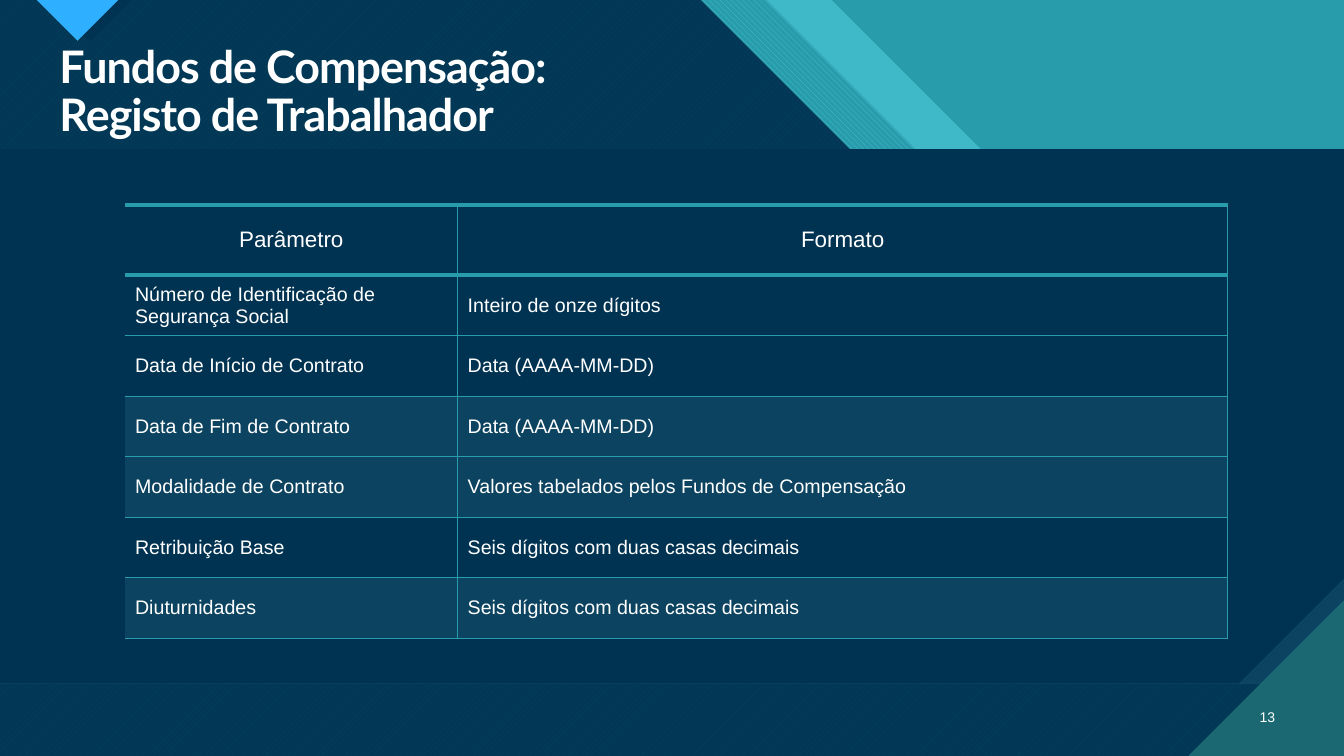
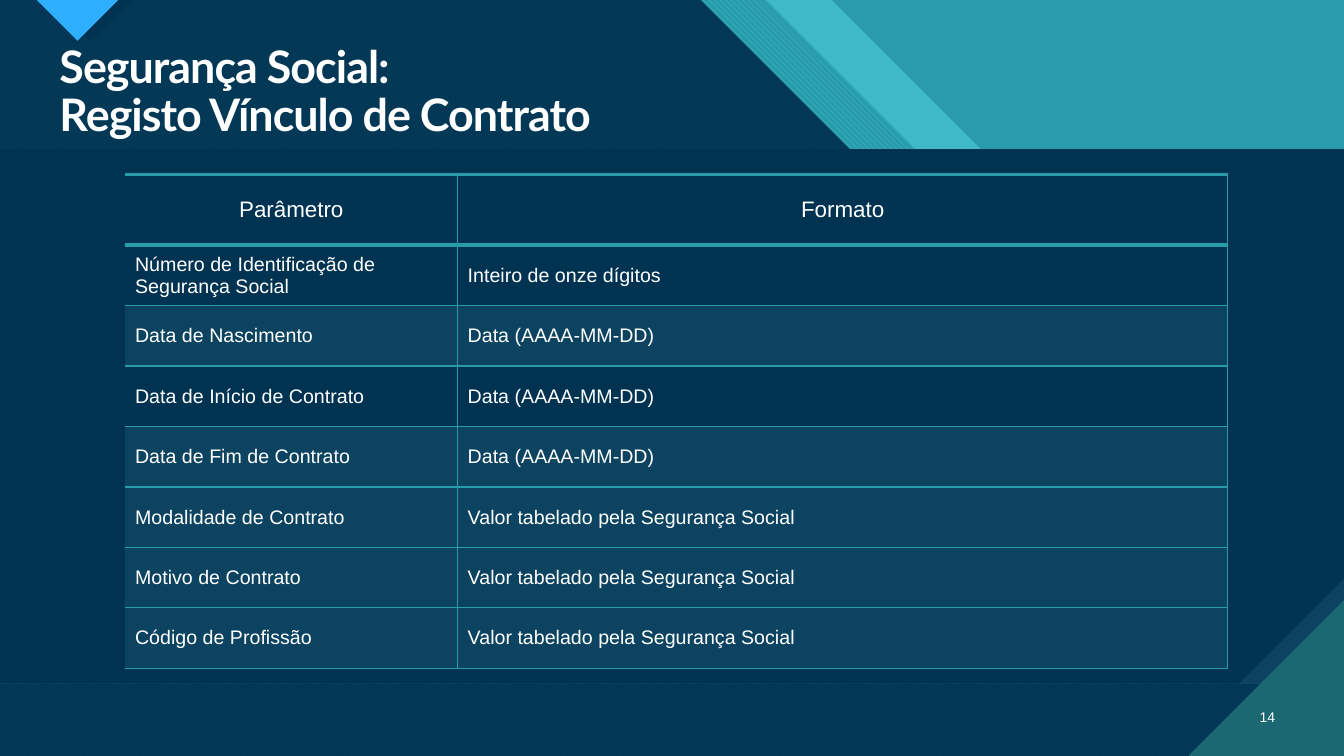
from lxml import etree
from pptx import Presentation
from pptx import util as u
from pptx.dml.color import RGBColor
from pptx.enum import dml, shapes, text
from pptx.oxml.ns import qn

Pt = u.Pt
PAT = dml.MSO_PATTERN
W, H = 960, 540
PANEL_TOP, PANEL_H = 106.6, 381.6
COLORS = {
    "navy": "003352",
    "slate": "0C4360",
    "teal": "299CAB",
    "aqua": "47C3D3",
    "pine": "1B6872",
    "blue": "2FAFFF",
    "white": "FFFFFF",
}
TITLE_FONT = {"name": "Lato", "size": Pt(32), "bold": True}
HEAD_FONT = {"name": "Arial", "size": Pt(16), "bold": False}
BODY_FONT = {"name": "Arial", "size": Pt(14), "bold": False}
NUMBER_FONT = {"name": "Arial", "size": Pt(10)}
NO_TABLE_STYLE = "{2D5ABB26-0587-4C30-8999-92F81FD0307C}"

TABLE_X = 89.3
COL_WIDTHS = (237.6, 550.1)
HEAD_H, ROW_H = 50.4, 43.2
HEADER = ("Parâmetro", "Formato", False)
DATE = "Data (AAAA-MM-DD)"
AMOUNT = "Seis dígitos com duas casas decimais"
CODE = "Valor tabelado pela Segurança Social"
SOCIAL_ID = ("Número de Identificação de Segurança Social",
             "Inteiro de onze dígitos", False)

# Each row: parameter, format, shaded
SLIDES = [
    {"title": "Fundos de Compensação:\vRegisto de Trabalhador",
     "number": 13, "top": 146.2,
     "rows": [
         SOCIAL_ID,
         ("Data de Início de Contrato", DATE, False),
         ("Data de Fim de Contrato", DATE, True),
         ("Modalidade de Contrato",
          "Valores tabelados pelos Fundos de Compensação", True),
         ("Retribuição Base", AMOUNT, False),
         ("Diuturnidades", AMOUNT, True),
     ]},
    {"title": "Segurança Social:\vRegisto Vínculo de Contrato",
     "number": 14, "top": 124.6,
     "rows": [
         SOCIAL_ID,
         ("Data de Nascimento", DATE, True),
         ("Data de Início de Contrato", DATE, False),
         ("Data de Fim de Contrato", DATE, True),
         ("Modalidade de Contrato", CODE, True),
         ("Motivo de Contrato", CODE, True),
         ("Código de Profissão", CODE, True),
     ]},
]


def rgb(name):
    return RGBColor.from_string(COLORS[name])


def paint(sp, color, pattern=None, back=None, alpha=None):
    """Fill a shape plainly or with a pattern; alpha is opacity in percent."""
    sp.shadow.inherit = False
    sp.line.fill.background()
    fill = sp.fill
    if pattern is None:
        fill.solid()
        fill.fore_color.rgb = rgb(color)
    else:
        fill.patterned()
        fill.pattern = pattern
        fill.fore_color.rgb = rgb(color)
        fill.back_color.rgb = rgb(back)
    if alpha is not None:
        clr = sp.element.spPr.find(qn("a:solidFill"))[0]
        etree.SubElement(clr, qn("a:alpha"), val=str(alpha * 1000))


def add_polygon(s, points, color, **style):
    start, *rest = [(Pt(x), Pt(y)) for x, y in points]
    fb = s.shapes.build_freeform(*start)
    fb.add_line_segments(rest)
    paint(fb.convert_to_shape(), color, **style)


def add_panel(s, kind, color, snip=None, **style):
    sp = s.shapes.add_shape(kind, 0, Pt(PANEL_TOP), Pt(W), Pt(PANEL_H))
    if snip is not None:
        sp.adjustments[0] = snip
        sp.element.spPr.find(qn("a:xfrm")).set("flipV", "1")
    paint(sp, color, **style)


def facet(x, drop=214, shelf=91):
    """Outline whose right edge falls at 45 degrees from x, in two steps."""
    step = x + drop
    return [(0, 0), (x, 0), (step, drop), (step + shelf, drop),
            (W, drop + W - step - shelf), (W, H), (0, H)]


def pennant(x, half):
    return [(x - half, 0), (x, half), (x + half, 0)]


def draw_backdrop(s):
    rect = shapes.MSO_SHAPE.RECTANGLE
    paint(s.shapes.add_shape(rect, 0, 0, Pt(W), Pt(H)), "teal")
    add_polygon(s, facet(594), "aqua", alpha=74)
    add_polygon(s, facet(547.2), "aqua",
                pattern=PAT.WIDE_DOWNWARD_DIAGONAL, back="teal")
    add_polygon(s, facet(500.4), "aqua",
                pattern=PAT.WIDE_UPWARD_DIAGONAL, back="pine")
    add_polygon(s, facet(500.4), "navy", alpha=90)
    add_polygon(s, pennant(64.6, 29.6), "navy")
    add_polygon(s, pennant(55.4, 29), "blue",
                pattern=PAT.DARK_HORIZONTAL, back="pine")
    add_panel(s, rect, "slate", pattern=PAT.DARK_VERTICAL, back="pine")
    add_panel(s, shapes.MSO_SHAPE.SNIP_1_RECTANGLE, "navy", snip=0.197)
    add_polygon(s, [(W - 111, H), (W, H), (W, H - 111)], "pine",
                pattern=PAT.DARK_HORIZONTAL, back="aqua")


def move_backdrop_to_layout(s, layout):
    """Shift all drawn shapes from a slide to the back of its layout."""
    tree = layout.shapes.element
    drawn = [sp for sp in s.shapes if not sp.is_placeholder]
    for i, sp in enumerate(drawn):
        sp.element.xpath(".//p:cNvPr")[0].set("id", str(100 + i))
        tree.insert(2 + i, sp.element)


def format_runs(p, font):
    for r in p.runs:
        for key, value in font.items():
            setattr(r.font, key, value)
        r.font.color.rgb = rgb("white")


def set_title(s, title):
    sp = s.shapes.title
    box = {"left": 35.3, "top": 28.1, "width": 501.1, "height": 77}
    for key, value in box.items():
        setattr(sp, key, Pt(value))
    tf = sp.text_frame
    tf.auto_size = text.MSO_AUTO_SIZE.NONE
    tf.vertical_anchor = text.MSO_ANCHOR.MIDDLE
    p = tf.paragraphs[0]
    p.text = title
    p.alignment = text.PP_ALIGN.LEFT
    p.line_spacing = 0.9
    format_runs(p, TITLE_FONT)
    for r in p.runs:
        r.font.element.set("spc", "-70") if hasattr(r.font, "element") \
            else r.font._rPr.set("spc", "-70")


def add_number(s, number):
    tf = s.shapes.add_textbox(Pt(886.3), Pt(497.5), Pt(31.7), Pt(28.8)).text_frame
    tf.word_wrap = True
    tf.vertical_anchor = text.MSO_ANCHOR.MIDDLE
    p = tf.paragraphs[0]
    p.text = str(number)
    p.alignment = text.PP_ALIGN.RIGHT
    format_runs(p, NUMBER_FONT)


def set_borders(cell, widths):
    """Draw cell borders; widths maps L, R, T, B (in that order) to points."""
    tc_pr = cell._tc.get_or_add_tcPr()
    for side, width in widths.items():
        ln = etree.SubElement(tc_pr, qn(f"a:ln{side}"), w=str(Pt(width)))
        fill = etree.SubElement(ln, qn("a:solidFill"))
        etree.SubElement(fill, qn("a:srgbClr"), val=COLORS["teal"])


def fill_cell(cell, value, row, col, shaded):
    header = row == 0
    widths = {"L": 1} if col else {}
    widths.update(R=1, T=3 if row < 2 else 1, B=3 if header else 1)
    set_borders(cell, widths)
    if shaded:
        cell.fill.solid()
        cell.fill.fore_color.rgb = rgb("slate")
    else:
        cell.fill.background()
    cell.vertical_anchor = text.MSO_ANCHOR.MIDDLE
    p = cell.text_frame.paragraphs[0]
    p.text = value
    p.alignment = text.PP_ALIGN.CENTER if header else text.PP_ALIGN.LEFT
    format_runs(p, HEAD_FONT if header else BODY_FONT)


def add_parameter_table(s, top, rows):
    rows = [HEADER, *rows]
    height = HEAD_H + ROW_H * (len(rows) - 1)
    frame = s.shapes.add_table(len(rows), len(COL_WIDTHS), Pt(TABLE_X), Pt(top),
                               Pt(sum(COL_WIDTHS)), Pt(height))
    table = frame.table
    table.horz_banding = False
    frame.element.xpath(".//a:tableStyleId")[0].text = NO_TABLE_STYLE
    for column, width in zip(table.columns, COL_WIDTHS):
        column.width = Pt(width)
    for i, (*values, shaded) in enumerate(rows):
        table.rows[i].height = Pt(ROW_H if i else HEAD_H)
        for j, value in enumerate(values):
            fill_cell(table.cell(i, j), value, i, j, shaded)


def main():
    prs = Presentation()
    prs.slide_width, prs.slide_height = Pt(W), Pt(H)
    layout = prs.slide_layouts[5]
    for i, content in enumerate(SLIDES):
        s = prs.slides.add_slide(layout)
        if i == 0:
            draw_backdrop(s)
            move_backdrop_to_layout(s, layout)
        set_title(s, content["title"])
        add_parameter_table(s, content["top"], content["rows"])
        add_number(s, content["number"])
    prs.save("out.pptx")


if __name__ == "__main__":
    main()
